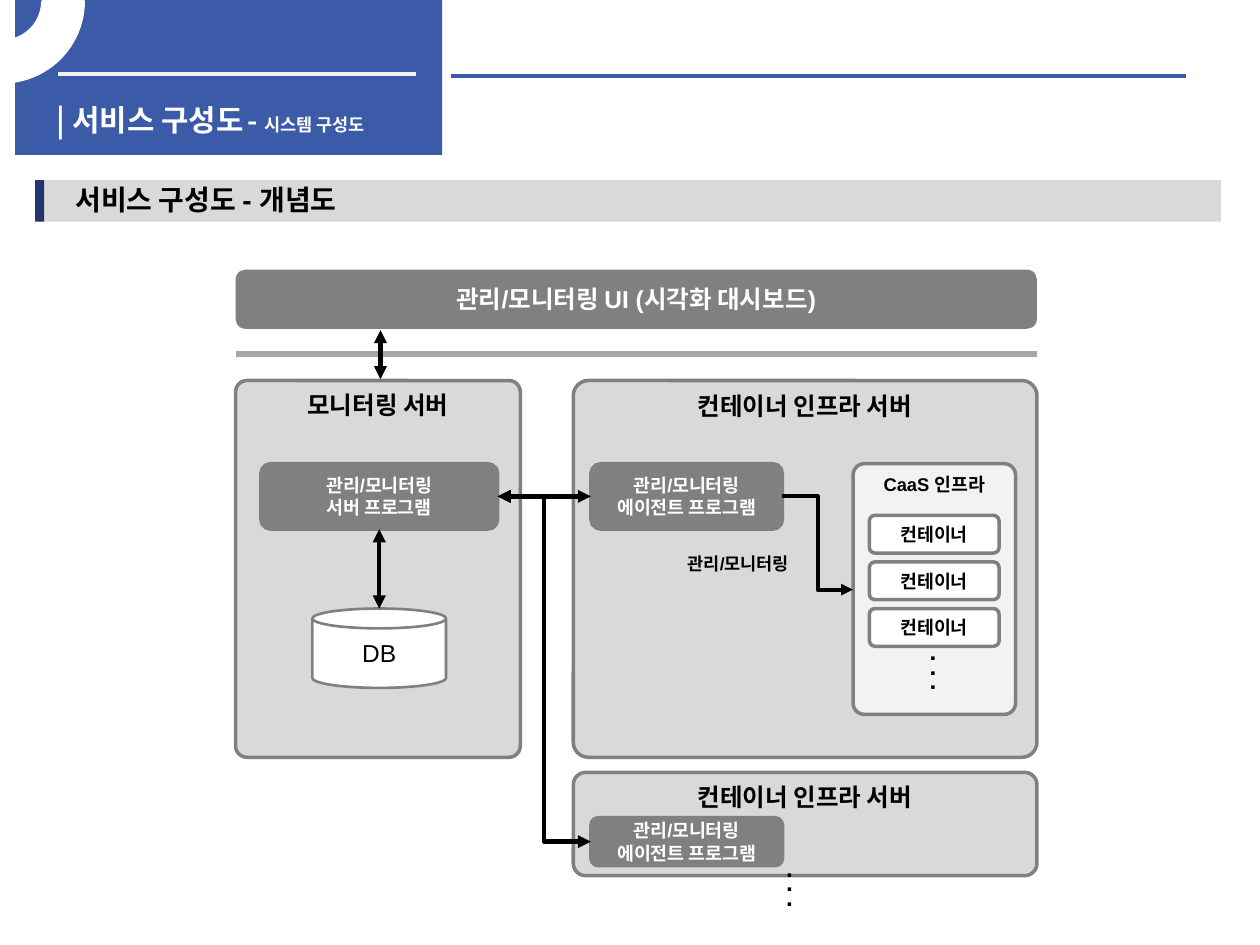
from dataclasses import dataclass

from lxml import etree
from pptx import Presentation
from pptx.dml.color import RGBColor
from pptx.enum.shapes import MSO_CONNECTOR, MSO_SHAPE
from pptx.enum.text import MSO_ANCHOR, MSO_AUTO_SIZE, PP_ALIGN
from pptx.oxml.ns import qn
from pptx.util import Inches, Pt

RECT, ROUND = MSO_SHAPE.RECTANGLE, MSO_SHAPE.ROUNDED_RECTANGLE
CAN, ARC = MSO_SHAPE.CAN, MSO_SHAPE.BLOCK_ARC
STRAIGHT, ELBOW = MSO_CONNECTOR.STRAIGHT, MSO_CONNECTOR.ELBOW
TOP, MIDDLE = MSO_ANCHOR.TOP, MSO_ANCHOR.MIDDLE
LEFT, CENTER = PP_ALIGN.LEFT, PP_ALIGN.CENTER
FIT_TEXT, FIXED_SIZE = MSO_AUTO_SIZE.SHAPE_TO_FIT_TEXT, MSO_AUTO_SIZE.NONE


@dataclass(frozen=True)
class Theme:
    latin: str = "Arial"
    korean: str = "Noto Sans CJK KR"
    blue: str = "3B5AA8"
    navy: str = "223670"
    white: str = "FFFFFF"
    black: str = "000000"
    pale: str = "F2F2F2"
    light: str = "D9D9D9"
    rule: str = "A6A6A6"
    gray: str = "808080"
    title: float = 17
    dash: float = 16
    section: float = 16
    heading: float = 14
    body: float = 10.5
    small: float = 10


class Diagram:
    """Draws themed elements on one slide; all lengths are in inches."""

    def __init__(self, slide, theme):
        self.slide, self.theme = slide, theme

    def font(self, run, size, color, bold=True, latin=None):
        run.font.size, run.font.bold = Pt(size), bold
        run.font.name = latin or self.theme.latin
        run.font.color.rgb = RGBColor.from_string(color)
        east_asian = etree.SubElement(run.font._element, qn("a:ea"))
        east_asian.set("typeface", self.theme.korean)

    def fill_text(self, frame, text, size, color, bold=True, align=CENTER, spacing=None):
        frame.text = text
        for paragraph in frame.paragraphs:
            paragraph.alignment = align
            if spacing:
                paragraph.line_spacing = spacing
            for run in paragraph.runs:
                self.font(run, size, color, bold)

    def title(self, parts, left, top, width, height):
        """Fill the title from (text, size) parts and bring it to the front."""
        title = self.slide.shapes.title
        title.left, title.top = Inches(left), Inches(top)
        title.width, title.height = Inches(width), Inches(height)
        frame = title.text_frame
        frame.vertical_anchor, frame.word_wrap = TOP, True
        frame.auto_size = FIXED_SIZE
        paragraph = frame.paragraphs[0]
        paragraph.alignment = LEFT
        for text, size in parts:
            run = paragraph.add_run()
            run.text = text
            self.font(run, size, self.theme.white, latin=self.theme.korean)
        title.element.getparent().append(title.element)

    def shape(self, kind, left, top, width, height, fill, line=None, weight=2, adjust=()):
        shape = self.slide.shapes.add_shape(
            kind, Inches(left), Inches(top), Inches(width), Inches(height))
        shape.shadow.inherit = False
        shape.fill.solid()
        shape.fill.fore_color.rgb = RGBColor.from_string(fill)
        if line:
            shape.line.color.rgb = RGBColor.from_string(line)
            shape.line.width = Pt(weight)
        else:
            shape.line.fill.background()
        for index, value in enumerate(adjust):
            shape.adjustments[index] = value
        return shape

    def box(self, text, left, top, width, height, fill, size, color=None, anchor=MIDDLE,
            kind=ROUND, bold=True, **style):
        shape = self.shape(kind, left, top, width, height, fill, **style)
        shape.text_frame.word_wrap = True
        shape.text_frame.vertical_anchor = anchor
        self.fill_text(shape.text_frame, text, size, color or self.theme.black, bold)

    def panel(self, text, left, top, width, height, corner, fill=None, size=None):
        theme = self.theme
        self.box(text, left, top, width, height, fill or theme.light, size or theme.heading,
                 anchor=TOP, line=theme.gray, adjust=[corner])

    def program(self, role, left, top, width, height=0.52):
        theme = self.theme
        self.box(f"관리/모니터링\n{role} 프로그램", left, top, width, height, theme.gray,
                 theme.body, theme.white, line=theme.gray, adjust=[0.15])

    def label(self, text, left, top, width, height, size, anchor=TOP, margins=True,
              spacing=None):
        frame = self.slide.shapes.add_textbox(
            Inches(left), Inches(top), Inches(width), Inches(height)).text_frame
        frame.word_wrap, frame.auto_size = False, FIT_TEXT
        frame.vertical_anchor = anchor
        if not margins:
            frame.margin_left = frame.margin_right = 0
            frame.margin_top = frame.margin_bottom = 0
        self.fill_text(frame, text, size, self.theme.black, align=LEFT, spacing=spacing)

    def ellipsis(self, left, top):
        self.label(".\n.\n.", left, top, 0.27, 0.57, self.theme.heading, spacing=0.5)

    def line(self, start, end, color, weight, kind=STRAIGHT, arrows=()):
        """Arrows lists the ends that get a head: headEnd, tailEnd."""
        connector = self.slide.shapes.add_connector(
            kind, *(Inches(value) for value in (*start, *end)))
        connector.line.color.rgb = RGBColor.from_string(color)
        connector.line.width = Pt(weight)
        for end_name in arrows:
            head = etree.SubElement(connector.line._get_or_add_ln(), qn(f"a:{end_name}"))
            head.set("type", "triangle")
        etree.SubElement(connector._element.spPr, qn("a:effectLst"))

    def arrow(self, start, end, weight=2.5, kind=STRAIGHT, arrows=("headEnd", "tailEnd")):
        self.line(start, end, self.theme.black, weight, kind, arrows)


def draw_header(diagram):
    theme = diagram.theme
    diagram.shape(RECT, 0.12, 0, 3.39, 1.23, theme.blue)
    diagram.line((0.46, 0.59), (3.3, 0.59), theme.pale, 2.25)
    diagram.line((3.58, 0.6), (9.41, 0.6), theme.blue, 2.25)
    diagram.title([("| 서비스 구성도", theme.title), (" ", theme.small),
                   ("- ", theme.dash), ("시스템 구성도", theme.small)],
                  0.35, 0.76, 3.23, 0.3)
    ring = diagram.shape(ARC, -0.63, -0.63, 1.29, 1.28, theme.white, theme.white,
                         adjust=[161.59, 0, 0.25])
    ring.rotation = 180
    ring.element.spPr.find(qn("a:xfrm")).set("flipH", "1")

    diagram.shape(ROUND, 0.28, 1.43, 9.41, 0.33, theme.light, adjust=[0])
    diagram.shape(RECT, 0.28, 1.43, 0.07, 0.33, theme.navy)
    diagram.label("서비스 구성도 - 개념도", 0.6, 1.45, 2.35, 0.27, theme.section,
                  anchor=MIDDLE, margins=False)


def draw_architecture(diagram):
    theme = diagram.theme
    left, infra_left, infra_width = 1.87, 4.55, 3.68
    right = infra_left + infra_width
    server_top, server_height = 3.02, 2.99
    program_top, program_middle = 3.68, 3.94
    agent_left, agent_width = 4.69, 1.52

    diagram.line((left, 2.81), (right, 2.81), theme.rule, 3)
    diagram.box("관리/모니터링 UI (시각화 대시보드)", left, 2.14, right - left, 0.47,
                theme.gray, theme.heading, theme.white)
    diagram.arrow((3.02, 2.62), (3.02, 3.01))

    diagram.panel("모니터링 서버", left, server_top, 2.26, server_height, 0.04)
    diagram.panel("컨테이너 인프라 서버", infra_left, server_top, infra_width,
                  server_height, 0.04)
    diagram.panel("CaaS 인프라", 6.77, program_top, 1.29, 1.99, 0.07, theme.pale, theme.body)
    diagram.box("DB", 2.48, 4.83, 1.06, 0.63, theme.white, theme.heading, kind=CAN,
                bold=False, line=theme.gray, weight=1.5)
    diagram.program("서버", 2.07, program_top, 1.88)
    diagram.program("에이전트", agent_left, program_top, agent_width)
    for row in range(3):
        diagram.box("컨테이너", 6.9, 4.09 + 0.37 * row, 1.03, 0.3, theme.white, theme.body,
                    line=theme.gray, adjust=[0.15])
    diagram.ellipsis(7.28, 5.1)

    diagram.arrow((agent_left + agent_width, program_middle), (6.77, 4.68), 2.25, ELBOW,
                  ["tailEnd"])
    diagram.label("관리/모니터링", 5.36, 4.34, 1.1, 0.27, theme.small)
    diagram.arrow((3.95, program_middle), (agent_left, program_middle))
    diagram.arrow((3.01, 4.2), (3.01, 4.83))

    diagram.panel("컨테이너 인프라 서버", infra_left, 6.13, infra_width, 0.82, 0.12)
    diagram.ellipsis(6.14, 6.82)
    diagram.program("에이전트", agent_left, 6.49, agent_width, 0.38)
    diagram.arrow((3.95, program_middle), (agent_left, 6.68), kind=ELBOW)


def main():
    presentation = Presentation()
    presentation.slide_width, presentation.slide_height = Inches(10), Inches(7.5)
    title_only = presentation.slide_layouts[5]
    diagram = Diagram(presentation.slides.add_slide(title_only), Theme())
    draw_header(diagram)
    draw_architecture(diagram)
    presentation.save("out.pptx")


if __name__ == "__main__":
    main()
